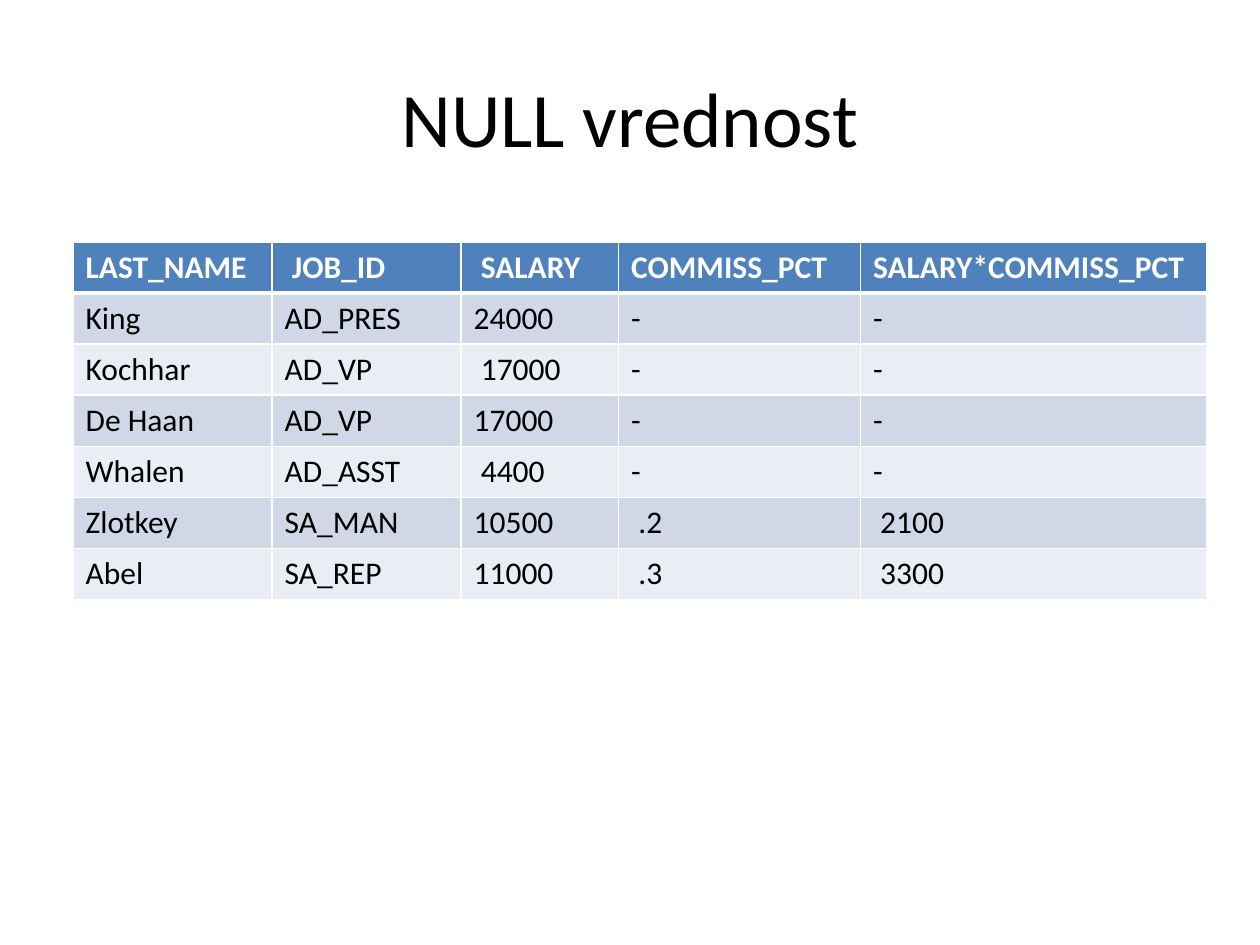
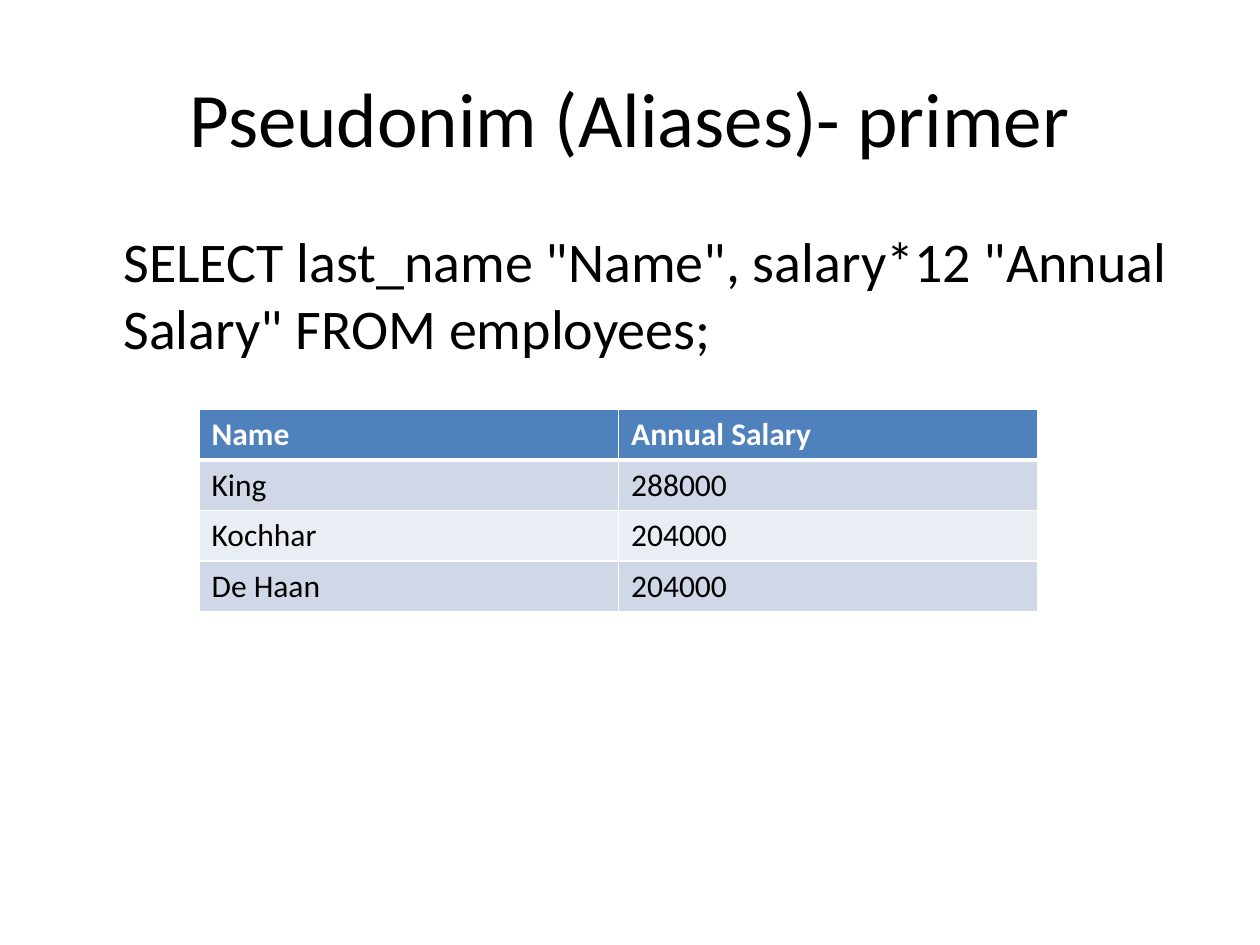
"""Builds two slides on NULL values and column aliases in SQL."""
from lxml import etree
from pptx import Presentation
from pptx.dml.color import RGBColor
from pptx.enum import text
from pptx.oxml.ns import qn
from pptx.util import Inches, Pt

FONT = "Calibri"
ROW_HEIGHT = 0.4
COLORS = {
    "text": "000000",
    "white": "FFFFFF",
    "header": "4F81BD",
    "odd": "D0D8E8",
    "even": "E9EDF4",
}

EMPLOYEES = [
    ["LAST_NAME", " JOB_ID", " SALARY", "COMMISS_PCT", "SALARY*COMMISS_PCT"],
    ["King", "AD_PRES", "24000", "-", "-"],
    ["Kochhar", "AD_VP", " 17000", "-", "-"],
    ["De Haan", "AD_VP", "17000", "-", "-"],
    ["Whalen", "AD_ASST", " 4400", "-", "-"],
    ["Zlotkey", "SA_MAN", "10500", " .2", " 2100"],
    ["Abel", "SA_REP", "11000", " .3", " 3300"],
]
ANNUAL_SALARIES = [
    ["Name", "Annual Salary"],
    ["King", "288000"],
    ["Kochhar", "204000"],
    ["De Haan", "204000"],
]


def write(tf, content, size=18, color="text", bold=False,
          align=text.PP_ALIGN.LEFT):
    p = tf.paragraphs[0]
    p.alignment = align
    r = p.add_run()
    r.text = content
    r.font.name = FONT
    r.font.size = Pt(size)
    r.font.bold = bold
    r.font.color.rgb = RGBColor.from_string(COLORS[color])


def add_titled_slide(prs, title):
    s = prs.slides.add_slide(prs.slide_layouts[5])
    sp = s.shapes.title
    sp.left, sp.top = Inches(0.5), Inches(0.3)
    sp.width, sp.height = Inches(9), Inches(1.25)
    tf = sp.text_frame
    tf.vertical_anchor = text.MSO_ANCHOR.MIDDLE
    write(tf, title, size=44, align=text.PP_ALIGN.CENTER)
    return s


def add_statement(s, content):
    sp = s.shapes.add_textbox(Inches(0.5), Inches(1.75), Inches(9), Inches(4.95))
    tf = sp.text_frame
    tf.word_wrap = True
    tf.margin_left = Inches(0.48)
    write(tf, content, size=32)


def set_borders(cell, top, bottom):
    tc_pr = cell._tc.get_or_add_tcPr()
    widths = {"a:lnL": 1, "a:lnR": 1, "a:lnT": top, "a:lnB": bottom}
    for i, (tag, width) in enumerate(widths.items()):
        ln = etree.Element(qn(tag), w=str(Pt(width)))
        fill = etree.SubElement(ln, qn("a:solidFill"))
        etree.SubElement(fill, qn("a:srgbClr"), val=COLORS["white"])
        tc_pr.insert(i, ln)


def add_table(s, rows, left, top, col_widths):
    frame = s.shapes.add_table(
        len(rows), len(col_widths), Inches(left), Inches(top),
        Inches(sum(col_widths)), Inches(ROW_HEIGHT * len(rows)))
    table = frame.table
    for column, width in zip(table.columns, col_widths):
        column.width = Inches(width)
    for i, values in enumerate(rows):
        is_header = i == 0
        fill = "header" if is_header else "odd" if i % 2 else "even"
        for j, value in enumerate(values):
            cell = table.cell(i, j)
            cell.fill.solid()
            cell.fill.fore_color.rgb = RGBColor.from_string(COLORS[fill])
            set_borders(cell, top=3 if i == 1 else 1,
                        bottom=3 if is_header else 1)
            write(cell.text_frame, value, bold=is_header,
                  color="white" if is_header else "text")


def main():
    prs = Presentation()
    prs.slide_width, prs.slide_height = Inches(10), Inches(7.5)

    s = add_titled_slide(prs, "NULL vrednost")
    add_table(s, EMPLOYEES, 0.58, 1.92, [1.58, 1.5, 1.25, 1.92, 2.75])

    s = add_titled_slide(prs, "Pseudonim (Aliases)- primer")
    add_statement(s, 'SELECT last_name "Name", salary*12 "Annual Salary" '
                     'FROM employees;')
    add_table(s, ANNUAL_SALARIES, 1.58, 3.25, [3.33, 3.33])

    prs.save("out.pptx")


if __name__ == "__main__":
    main()
